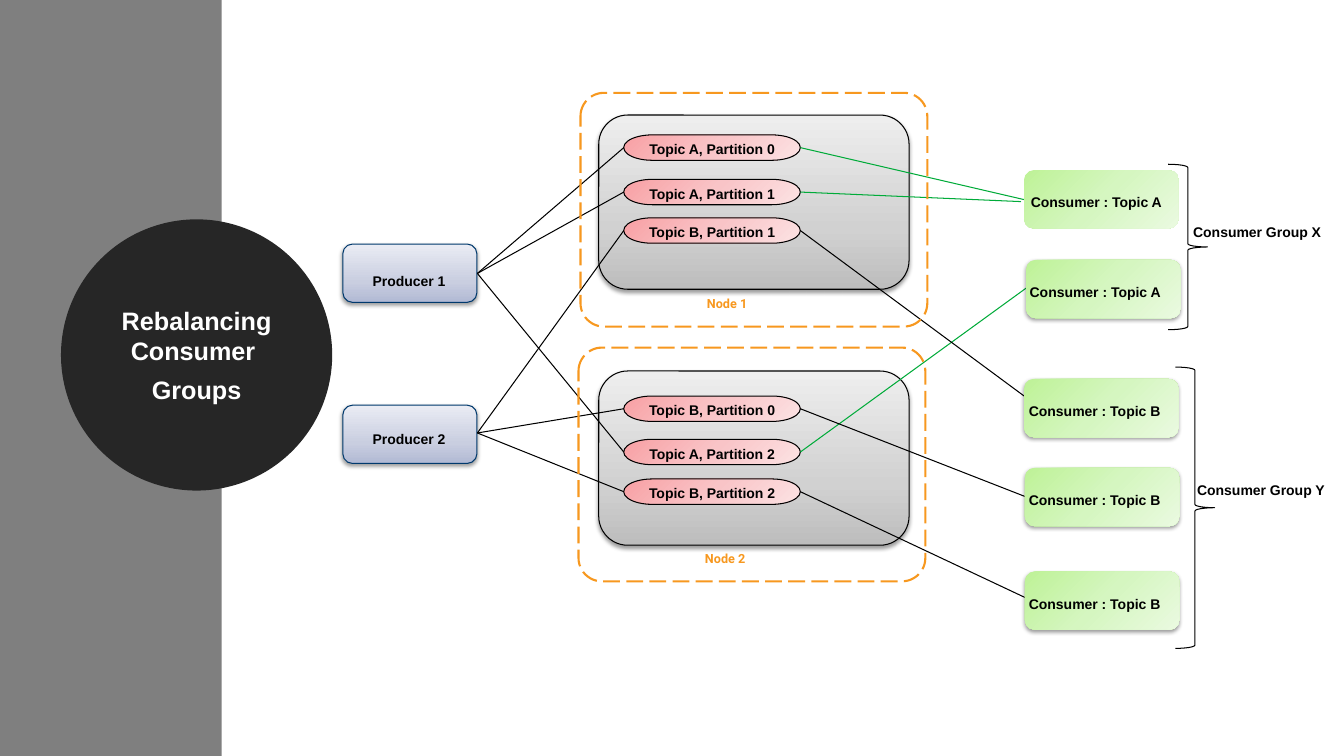
from dataclasses import dataclass

from lxml import etree
from pptx import Presentation
from pptx import util as u
from pptx.dml.color import RGBColor
from pptx.enum import dml, shapes, text
from pptx.oxml.ns import nsdecls, qn

Shape = shapes.MSO_SHAPE
Align = text.PP_ALIGN


@dataclass(frozen=True)
class Theme:
    """Colours, gradients (stops and angle), fonts and type sizes."""
    band: str = "7F7F7F"
    disc: str = "262626"
    title: str = "FFFFFF"
    ink: str = "000000"
    accent: str = "F7981F"
    topic_a: str = "00AB39"
    producer_edge: str = "00396D"
    producer: tuple = (((0, "B1B9D4"), (35, "C9CEE0"), (100, "EAECF4")), 270)
    broker: tuple = (((0, "BDBDBD"), (35, "D1D1D1"), (100, "EEEEEE")), 270)
    partition: tuple = (((0, "F8A0A4"), (50, "F9C4C7"), (100, "FCE2E3")), 45)
    consumer: tuple = (((0, "BEF297"), (50, "D5F6C0"), (100, "EAFAE0")), 45)
    font: str = "Arial"
    node_font: str = "Roboto"
    title_size: float = 18
    label_size: float = 10
    node_size: float = 9
    hairline: float = 0.75


class Diagram:
    """Draws on one slide in one theme; all lengths are centimetres."""

    def __init__(self, slide, theme):
        self.slide, self.theme = slide, theme

    def shape(self, kind, x, y, w, h, fill=None, line=None, width=None, shadow=False):
        item = self.slide.shapes.add_shape(kind, u.Cm(x), u.Cm(y), u.Cm(w), u.Cm(h))
        if isinstance(fill, str):
            item.fill.solid()
            item.fill.fore_color.rgb = RGBColor.from_string(fill)
        else:
            item.fill.background()
            if fill:
                self.gradient(item, *fill)
        if line:
            item.line.color.rgb = RGBColor.from_string(line)
            item.line.width = u.Pt(width or self.theme.hairline)
        else:
            item.line.fill.background()
        item.shadow.inherit = False
        if shadow:
            self.drop_shadow(item)
        return item

    def gradient(self, item, stops, angle):
        marks = "".join(f'<a:gs pos="{pos * 1000}"><a:srgbClr val="{color}"/></a:gs>'
                        for pos, color in stops)
        properties = item._element.spPr
        properties.replace(properties.find(qn("a:noFill")), etree.fromstring(
            f'<a:gradFill {nsdecls("a")} rotWithShape="1"><a:gsLst>{marks}</a:gsLst>'
            f'<a:lin ang="{angle * 60000}" scaled="0"/></a:gradFill>'))

    def drop_shadow(self, item):
        item._element.spPr.find(qn("a:effectLst")).append(etree.fromstring(
            f'<a:outerShdw {nsdecls("a")} blurRad="{u.Pt(3.1)}" dist="{u.Pt(1.6)}" '
            'dir="5400000" algn="ctr" rotWithShape="0"><a:srgbClr val="000000">'
            '<a:alpha val="38000"/></a:srgbClr></a:outerShdw>'))

    def set_text(self, item, lines, size=None, color=None, font=None,
                 align=Align.CENTER, spacing=None, after=0):
        frame = item.text_frame
        for index, line in enumerate(lines):
            paragraph = frame.add_paragraph() if index else frame.paragraphs[0]
            paragraph.alignment = align
            paragraph.space_after = u.Pt(after)
            if spacing:
                paragraph.line_spacing = spacing
            run = paragraph.add_run()
            run.text = line
            run.font.name = font or self.theme.font
            run.font.size = u.Pt(size or self.theme.label_size)
            run.font.bold = True
            run.font.color.rgb = RGBColor.from_string(color or self.theme.ink)
        return frame

    def label(self, words, x, y, w, h=0.69, wrap=False, **style):
        box = self.slide.shapes.add_textbox(u.Cm(x), u.Cm(y), u.Cm(w), u.Cm(h))
        frame = self.set_text(box, [words], **style)
        frame.word_wrap = wrap
        frame.auto_size = text.MSO_AUTO_SIZE.SHAPE_TO_FIT_TEXT

    def title(self, lines, x, y, w, h):
        holder = self.slide.shapes.title
        holder.left, holder.top, holder.width, holder.height = map(u.Cm, (x, y, w, h))
        frame = self.set_text(holder, lines, self.theme.title_size, self.theme.title, after=6)
        frame.vertical_anchor = text.MSO_ANCHOR.MIDDLE
        frame.word_wrap = True
        frame.auto_size = text.MSO_AUTO_SIZE.NONE
        self.slide.shapes._spTree.append(holder._element)  # in front of the disc

    def link(self, start, end, color):
        line = self.slide.shapes.add_connector(
            shapes.MSO_CONNECTOR.STRAIGHT, *map(u.Cm, (*start, *end)))
        line.line.color.rgb = RGBColor.from_string(color)
        line.line.width = u.Pt(self.theme.hairline)
        etree.SubElement(line._element.spPr, qn("a:effectLst"))

    def partition(self, name, x, y, w, h):
        pill = self.shape(Shape.FLOWCHART_TERMINATOR, x, y, w, h,
                          self.theme.partition, self.theme.ink)
        frame = self.set_text(pill, [name], spacing=1.2)
        frame.vertical_anchor = text.MSO_ANCHOR.MIDDLE

    def node(self, name, x, y):
        frame = self.shape(Shape.ROUNDED_RECTANGLE, x, y, 8.74, 5.89,
                           line=self.theme.accent, width=1.5)
        frame.adjustments[0] = 0.1
        frame.line.dash_style = dml.MSO_LINE.LONG_DASH
        self.label(name, x - 0.33, y + 5, 8.05, 0.64, wrap=True, size=self.theme.node_size,
                   color=self.theme.accent, font=self.theme.node_font)


PILL_X, PILL_W, PILL_H = 15.72, 4.45, 0.64
PARTITION_TOPS = {
    "Topic A, Partition 0": 3.4, "Topic A, Partition 1": 4.52, "Topic B, Partition 1": 5.49,
    "Topic B, Partition 0": 9.98, "Topic A, Partition 2": 11.07, "Topic B, Partition 2": 12.07,
}
# name: box top, label top, point where its links leave, partitions it feeds
PRODUCERS = {
    "Producer 1": (6.15, 6.73, (12.03, 6.89), ("A, Partition 2", "A, Partition 0", "A, Partition 1")),
    "Producer 2": (10.21, 10.72, (12.03, 10.91), ("B, Partition 1", "B, Partition 2", "B, Partition 0")),
}
# partition read, point where the link ends
READS = [
    ("A, Partition 0", (25.81, 5.03)), ("A, Partition 1", (25.73, 5.08)),
    ("A, Partition 2", (25.86, 7.26)), ("B, Partition 0", (26.06, 12.6)),
    ("B, Partition 2", (26.01, 15.14)), ("B, Partition 1", (25.81, 9.98)),
]
# topic, box left, box top, label left, shadow
CONSUMERS = [
    ("A", 25.81, 4.29, 25.73, False), ("A", 25.86, 6.55, 25.7, True),
    ("B", 25.81, 9.55, 25.68, True), ("B", 25.83, 11.79, 25.68, True),
    ("B", 25.83, 14.4, 25.68, True),
]
# group, brace left, top and height, label left and top
GROUPS = [("X", 29.44, 4.14, 4.17, 29.82, 5.51), ("Y", 29.62, 9.25, 7.09, 29.92, 12.01)]


def main():
    deck = Presentation()
    deck.slide_width, deck.slide_height = u.Cm(33.87), u.Cm(19.05)
    theme = Theme()
    diagram = Diagram(deck.slides.add_slide(deck.slide_layouts[5]), theme)

    # Side band and title disc
    diagram.shape(Shape.RECTANGLE, 0, 0, 5.59, 19.05, theme.band)
    diagram.shape(Shape.OVAL, 1.78, 5.77, 6.35, 6.35, theme.disc, theme.disc, 13.75)
    diagram.title(["Rebalancing Consumer ", "Groups"], 2.71, 6.7, 4.49, 4.49)

    # Producers
    for name, (top, label_top, _, _) in PRODUCERS.items():
        diagram.shape(Shape.ROUNDED_RECTANGLE, 8.64, top, 3.38, 1.47,
                      theme.producer, theme.producer_edge, shadow=True)
        diagram.label(name, 9.14, label_top, 2.36, align=Align.LEFT)

    # Brokers and their partitions
    for top in (2.9, 9.35):
        diagram.shape(Shape.ROUNDED_RECTANGLE, 15.09, top, 7.82, 4.39,
                      theme.broker, theme.ink, shadow=True)
    for name, top in PARTITION_TOPS.items():
        diagram.partition(name, PILL_X, top, PILL_W, PILL_H)

    # Links into and out of the partitions
    middles = {name: top + PILL_H / 2 for name, top in PARTITION_TOPS.items()}
    for _, _, start, fed in PRODUCERS.values():
        for name in fed:
            diagram.link(start, (PILL_X, middles[f"Topic {name}"]), theme.ink)
    for name, end in READS:
        color = theme.topic_a if name.startswith("A") else theme.ink
        diagram.link((PILL_X + PILL_W, middles[f"Topic {name}"]), end, color)

    # Consumers and their groups
    for topic, left, top, label_left, shadow in CONSUMERS:
        diagram.shape(Shape.ROUNDED_RECTANGLE, left, top, 3.89, 1.47,
                      theme.consumer, shadow=shadow)
        diagram.label(f"Consumer : Topic {topic}", label_left, top + 0.47, 3.89,
                      align=Align.LEFT)
    for group, left, top, height, label_left, label_top in GROUPS:
        diagram.shape(Shape.RIGHT_BRACE, left, top, 0.99, height, line=theme.ink)
        diagram.label(f"Consumer Group {group}", label_left, label_top, 3.78,
                      align=Align.LEFT)

    # Node frames
    diagram.node("Node 2", 14.58, 8.76)
    diagram.node("Node 1", 14.63, 2.34)

    deck.save("out.pptx")


if __name__ == "__main__":
    main()
